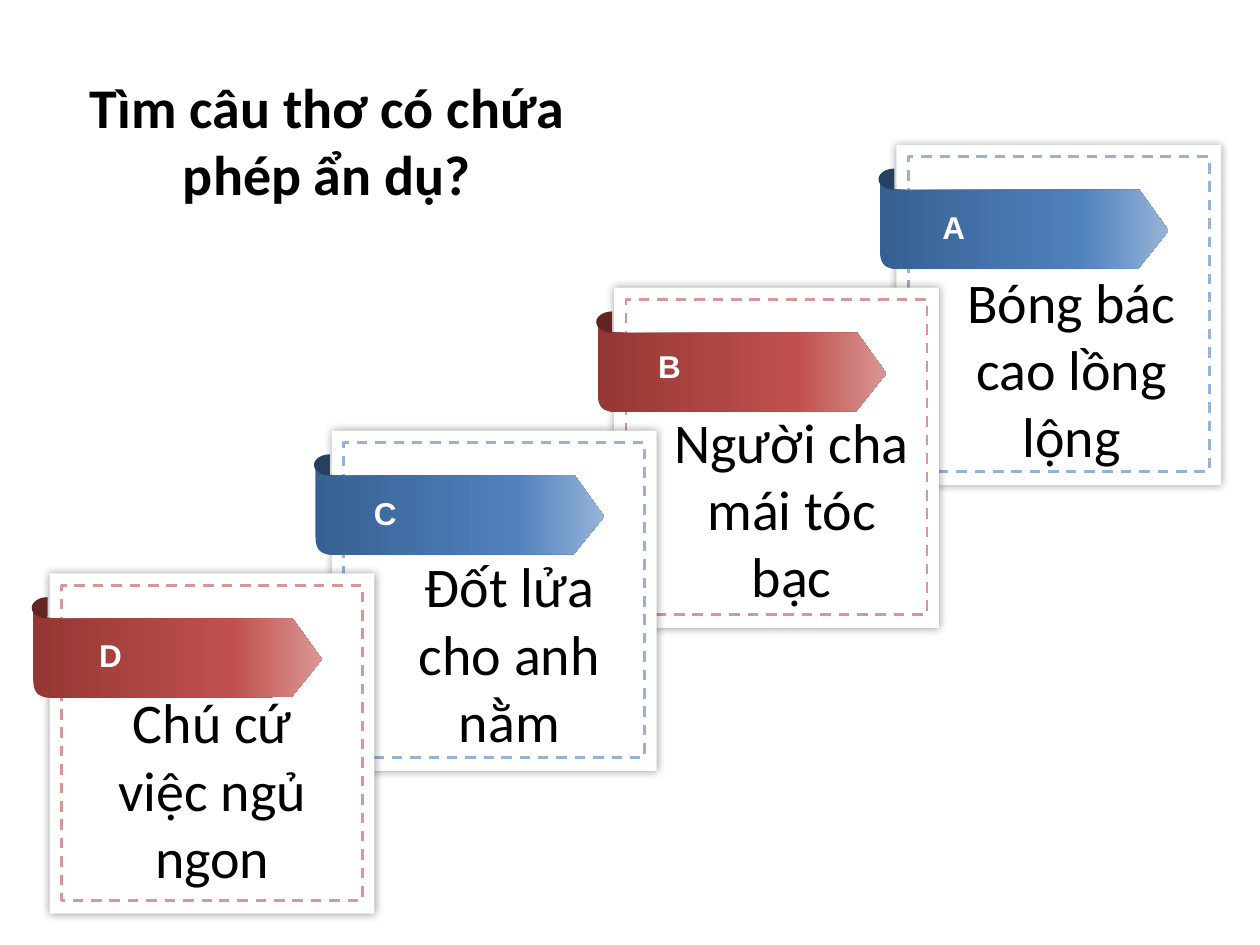
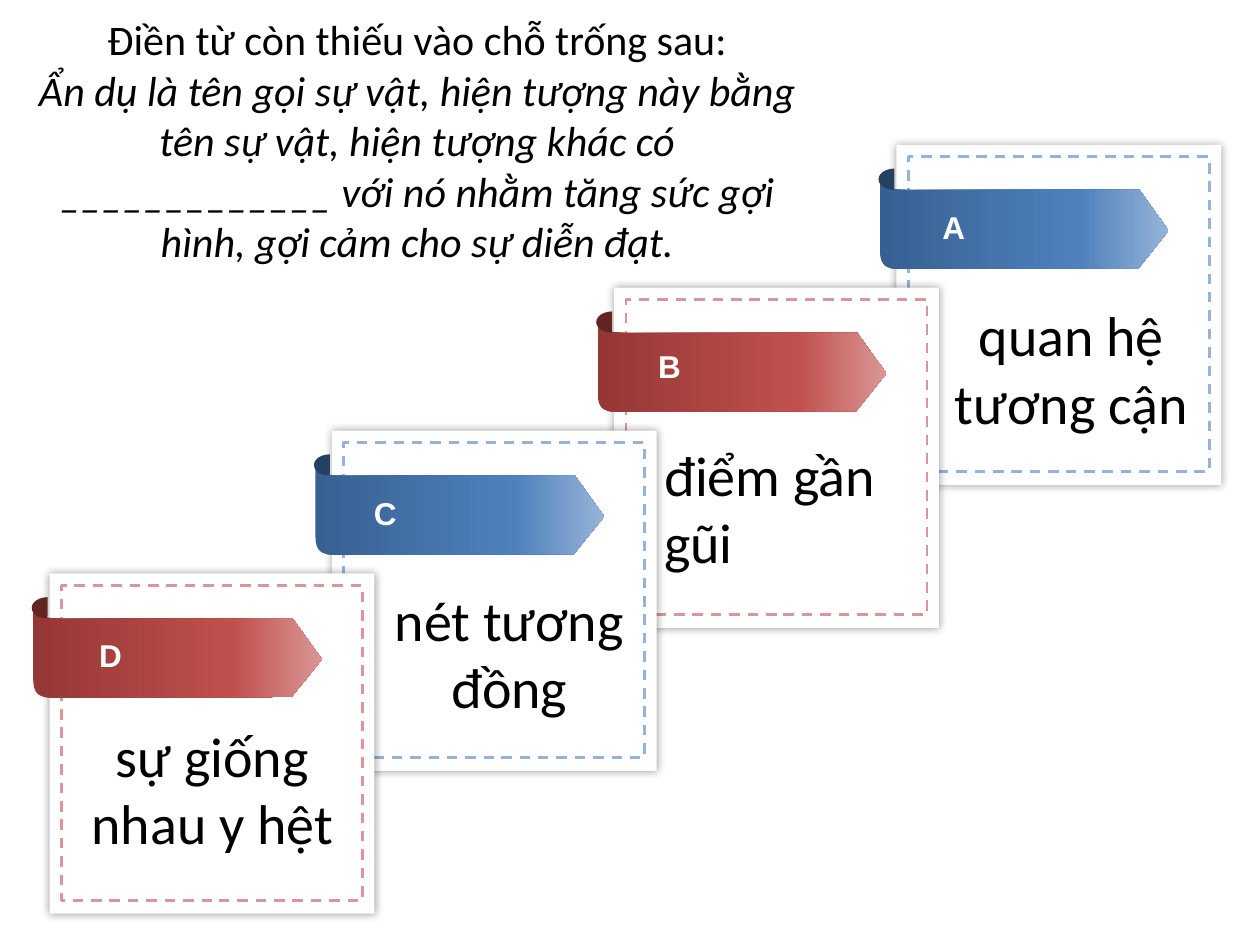
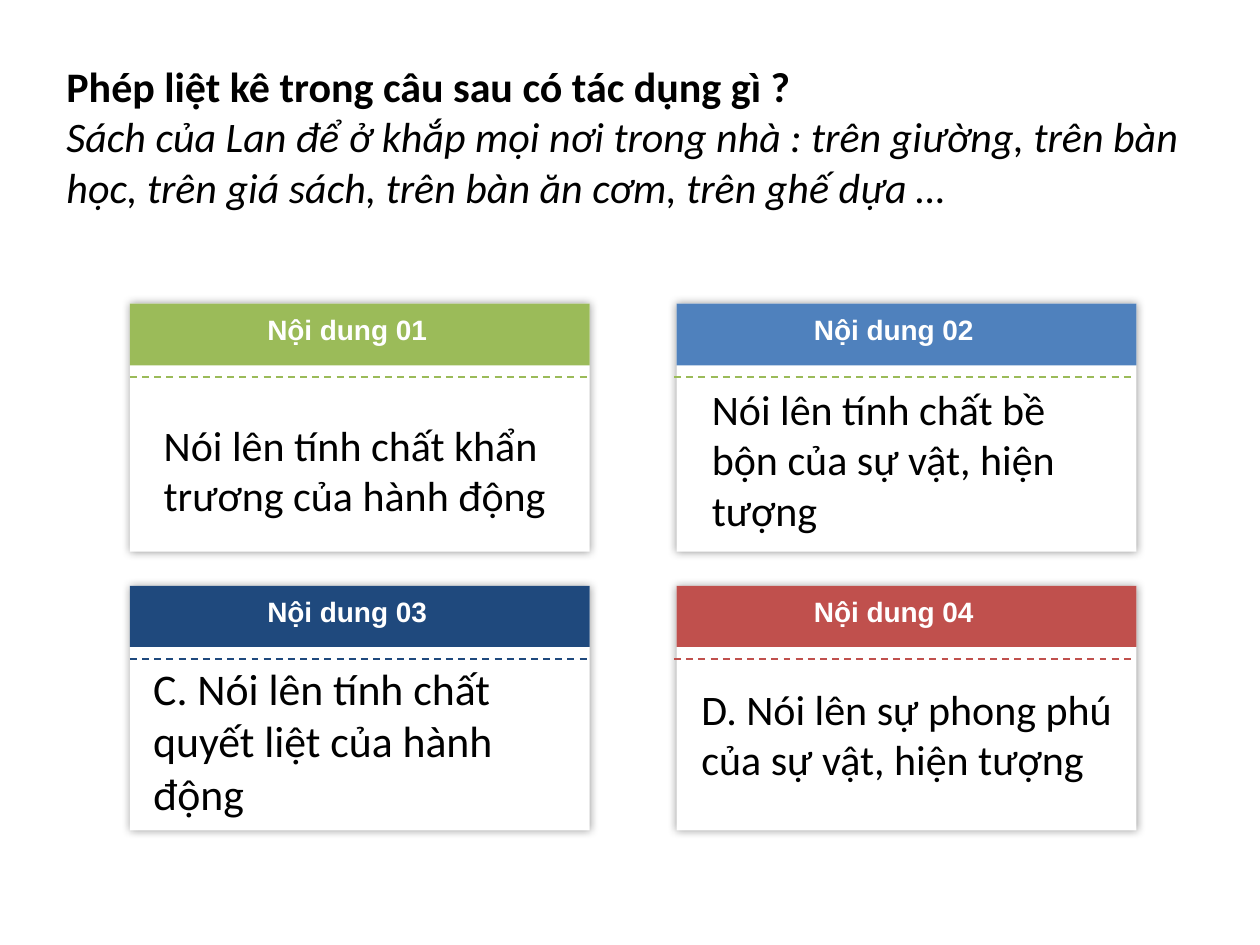
import copy

import pptx
import pptx.dml.color
import pptx.enum.dml
import pptx.enum.shapes
import pptx.enum.text
import pptx.oxml
import pptx.oxml.ns
import pptx.util

Cm = pptx.util.Cm
RGBColor = pptx.dml.color.RGBColor
SHAPE = pptx.enum.shapes.MSO_SHAPE
DASH = pptx.enum.dml.MSO_LINE.DASH
LEFT = pptx.enum.text.PP_ALIGN.LEFT
CENTER = pptx.enum.text.PP_ALIGN.CENTER

BLACK = RGBColor(0x00, 0x00, 0x00)
WHITE = RGBColor(0xFF, 0xFF, 0xFF)
GREEN = RGBColor(0x9B, 0xBB, 0x59)
NAVY = RGBColor(0x1F, 0x49, 0x7D)
BLUE = RGBColor(0x4F, 0x81, 0xBD)
BLUE_LIGHT = RGBColor(0x95, 0xB3, 0xD7)
BLUE_DARK = RGBColor(0x37, 0x60, 0x92)
BLUE_FOLD = RGBColor(0x25, 0x40, 0x61)
RED = RGBColor(0xC0, 0x50, 0x4D)
RED_LIGHT = RGBColor(0xD9, 0x96, 0x94)
RED_DARK = RGBColor(0x95, 0x37, 0x35)
RED_FOLD = RGBColor(0x63, 0x25, 0x23)

QUESTION = {"name": "Calibri", "size": pptx.util.Pt(24)}
ANSWER = {"name": "Calibri", "size": pptx.util.Pt(32)}
LETTER = {"name": "Arial", "size": pptx.util.Pt(18), "bold": True}
HEADING = {"name": "Arial", "size": pptx.util.Pt(16), "bold": True}
BOLD = {"bold": True}
ITALIC = {"italic": True}

GLOW = (
    f'<a:effectLst {pptx.oxml.ns.nsdecls("a")}>'
    '<a:outerShdw blurRad="63500" dist="0" dir="0" algn="ctr" rotWithShape="0">'
    '<a:srgbClr val="000000"><a:alpha val="40000"/></a:srgbClr>'
    "</a:outerShdw></a:effectLst>"
)
NO_EFFECT = f'<a:effectLst {pptx.oxml.ns.nsdecls("a")}/>'


def add_block(slide, kind, area, color=None, glow=False):
    block = slide.shapes.add_shape(kind, *[Cm(value) for value in area])
    block.line.fill.background()
    if color is None:
        block.fill.background()
    else:
        block.fill.solid()
        block.fill.fore_color.rgb = color
    if glow:
        block._element.spPr.append(pptx.oxml.parse_xml(GLOW))
    else:
        block.shadow.inherit = False
    return block


def add_text(slide, area, lines, style, color=BLACK, align=LEFT, wrap=True):
    box = slide.shapes.add_textbox(*[Cm(value) for value in area])
    frame = box.text_frame
    frame.word_wrap = wrap
    frame.auto_size = pptx.enum.text.MSO_AUTO_SIZE.SHAPE_TO_FIT_TEXT
    frame.vertical_anchor = pptx.enum.text.MSO_ANCHOR.MIDDLE
    for index, (text, extra) in enumerate(lines):
        para = frame.add_paragraph() if index else frame.paragraphs[0]
        para.alignment = align
        span = para.add_run()
        span.text = text
        span.font.color.rgb = color
        for name, value in {**style, **extra}.items():
            setattr(span.font, name, value)


deck = pptx.Presentation()
deck.slide_width = Cm(25.4)
deck.slide_height = Cm(19.05)
blank = deck.slide_layouts[6]

BLUE_RIBBON = ([BLUE_DARK, BLUE, BLUE_LIGHT], BLUE_FOLD)
RED_RIBBON = ([RED_DARK, RED, RED_LIGHT], RED_FOLD)
CARDS = [
    ("A", BLUE_RIBBON, (0.68, 1.14), (0.71, 4.5)),
    ("B", RED_RIBBON, (0.64, 1.06), (0.76, 4.44)),
    ("C", BLUE_RIBBON, (0.6, 1.15), (0.76, 4.48)),
    ("D", RED_RIBBON, (0.75, 1.14), (0.46, 4.34)),
]
RIBBON_START = (0.03, 2.51)
RIBBON_PATH = [
    [(4.88, 2.49)],
    [(5.49, 1.73)],
    [(4.9, 0.91)],
    [(0.23, 0.91)],
    [(0.03, 0.89), (-0.28, 0.94), (-0.33, 0.64)],
    [(-0.33, 2.13)],
    [(-0.33, 2.46), (-0.18, 2.49), (0.03, 2.51)],
]
CURVE_STEPS = 10

ribbon_points = [RIBBON_START]
for segment in RIBBON_PATH:
    if len(segment) == 1:
        ribbon_points += segment
        continue
    controls = [ribbon_points[-1], *segment]
    for step in range(1, CURVE_STEPS + 1):
        t = step / CURVE_STEPS
        weights = [(1 - t) ** 3, 3 * t * (1 - t) ** 2, 3 * t**2 * (1 - t), t**3]
        ribbon_points.append(
            tuple(sum(w * p[axis] for w, p in zip(weights, controls)) for axis in (0, 1))
        )

QUIZZES = [
    {
        "area": (0.89, 1.32, 11.4, 3.0),
        "style": ANSWER,
        "question": [("Tìm câu thơ có chứa phép ẩn dụ?", BOLD)],
        "answers": [
            ("Bóng bác cao lồng lộng", 4.37, CENTER),
            ("Người cha mái tóc bạc", 4.37, CENTER),
            ("Đốt lửa cho anh nằm", 4.37, CENTER),
            ("Chú cứ việc ngủ ngon", 4.37, CENTER),
        ],
    },
    {
        "area": (0.51, 0.13, 15.8, 5.38),
        "style": QUESTION,
        "question": [
            ("Điền từ còn thiếu vào chỗ trống sau:", {}),
            (
                "Ẩn dụ là tên gọi sự vật, hiện tượng này bằng tên sự vật, "
                "hiện tượng khác có _____________ với nó nhằm tăng sức gợi hình, "
                "gợi cảm cho sự diễn đạt.",
                ITALIC,
            ),
        ],
        "answers": [
            ("quan hệ tương cận", 4.37, CENTER),
            ("điểm gần gũi", 3.0, LEFT),
            ("nét tương đồng", 3.0, CENTER),
            ("sự giống nhau y hệt", 3.0, CENTER),
        ],
    },
]

for quiz in QUIZZES:
    slide = deck.slides.add_slide(blank)
    add_text(slide, quiz["area"], quiz["question"], quiz["style"], align=CENTER)
    for index, (card, answer) in enumerate(zip(CARDS, quiz["answers"])):
        letter, (shades, fold_color), letter_shift, answer_shift = card
        text, height, align = answer
        left = 18.07 - 5.69 * index
        top = 2.92 + 2.88 * index

        add_block(slide, SHAPE.RECTANGLE, (left, top, 6.55, 6.86), WHITE, glow=True)
        border = add_block(slide, SHAPE.RECTANGLE, (left + 0.24, top + 0.24, 6.07, 6.35))
        border.line.color.rgb = shades[-1]
        border.line.width = pptx.util.Pt(1.5)
        border.line.dash_style = DASH.DASH

        outline = [(Cm(left + x), Cm(top + y)) for x, y in ribbon_points]
        builder = slide.shapes.build_freeform(*outline[0])
        builder.add_line_segments(outline[1:], close=True)
        ribbon = builder.convert_to_shape()
        ribbon.shadow.inherit = False
        ribbon.line.fill.background()
        ribbon.fill.gradient()
        ribbon.fill.gradient_angle = 0
        stops = ribbon._element.xpath(".//a:gsLst")[0]
        stops.insert(1, copy.deepcopy(stops[0]))
        for stop, shade, position in zip(ribbon.fill.gradient_stops, shades, (0, 0.69, 1)):
            stop.color.rgb = shade
            stop.position = position

        fold = add_block(slide, SHAPE.PIE, (left - 0.36, top + 0.48, 0.64, 0.43), fold_color)
        fold.adjustments[0] = 54.3
        fold.adjustments[1] = 162

        letter_area = (left + letter_shift[0], top + letter_shift[1], 0.97, 1.02)
        add_text(slide, letter_area, [(letter, {})], LETTER, WHITE, wrap=False)
        answer_area = (left + answer_shift[0], top + answer_shift[1] - height / 2, 5.64, height)
        add_text(slide, answer_area, [(text, {})], ANSWER, align=align)

slide = deck.slides.add_slide(blank)
add_text(
    slide,
    (1.09, 0.56, 23.01, 4.37),
    [
        ("Phép liệt kê trong câu sau có tác dụng gì ?", BOLD),
        (
            "Sách của Lan để ở khắp mọi nơi trong nhà : trên giường, trên bàn học, "
            "trên giá sách, trên bàn ăn cơm, trên ghế dựa …",
            ITALIC,
        ),
    ],
    QUESTION,
)

PANEL_LEFTS = [2.62, 13.64]
PANEL_ROWS = [(6.12, 5.0), (11.81, 4.93)]
PANELS = [
    (GREEN, GREEN, "Nói lên tính chất khẩn trương của hành động", 24, (3.05, 7.8, 8.76, 3.33)),
    (BLUE, GREEN, "Nói lên tính chất bề bộn của sự vật, hiện tượng", 24, (14.1, 7.59, 8.51, 3.33)),
    (NAVY, NAVY, "C. Nói lên tính chất quyết liệt của hành động", 25, (2.84, 13.13, 8.76, 3.58)),
    (RED, RED, "D. Nói lên sự phong phú của sự vật, hiện tượng", 24, (13.89, 13.13, 8.99, 3.33)),
]
PANEL_WIDTH = 9.27

for index, (band_color, divider_color, text, size, text_area) in enumerate(PANELS):
    left = PANEL_LEFTS[index % 2]
    top, height = PANEL_ROWS[index // 2]
    add_block(slide, SHAPE.RECTANGLE, (left, top, PANEL_WIDTH, height), WHITE, glow=True)
    add_block(slide, SHAPE.RECTANGLE, (left, top, PANEL_WIDTH, height / 4), band_color)

    start = left - 0.05 * (index % 2)
    ends = (start, top + 1.48, start + PANEL_WIDTH, top + 1.48)
    divider = slide.shapes.add_connector(
        pptx.enum.shapes.MSO_CONNECTOR.STRAIGHT, *[Cm(value) for value in ends]
    )
    divider.line.color.rgb = divider_color
    divider.line.width = pptx.util.Pt(1)
    divider.line.dash_style = DASH.DASH
    divider._element.spPr.append(pptx.oxml.parse_xml(NO_EFFECT))

    heading_area = (left + 1.37, top + 0.05, 6.02, 0.94)
    add_text(slide, heading_area, [(f"Nội dung {index + 1:02}", {})], HEADING, WHITE, CENTER)
    add_text(slide, text_area, [(text, {"size": pptx.util.Pt(size)})], QUESTION)

deck.save("out.pptx")
